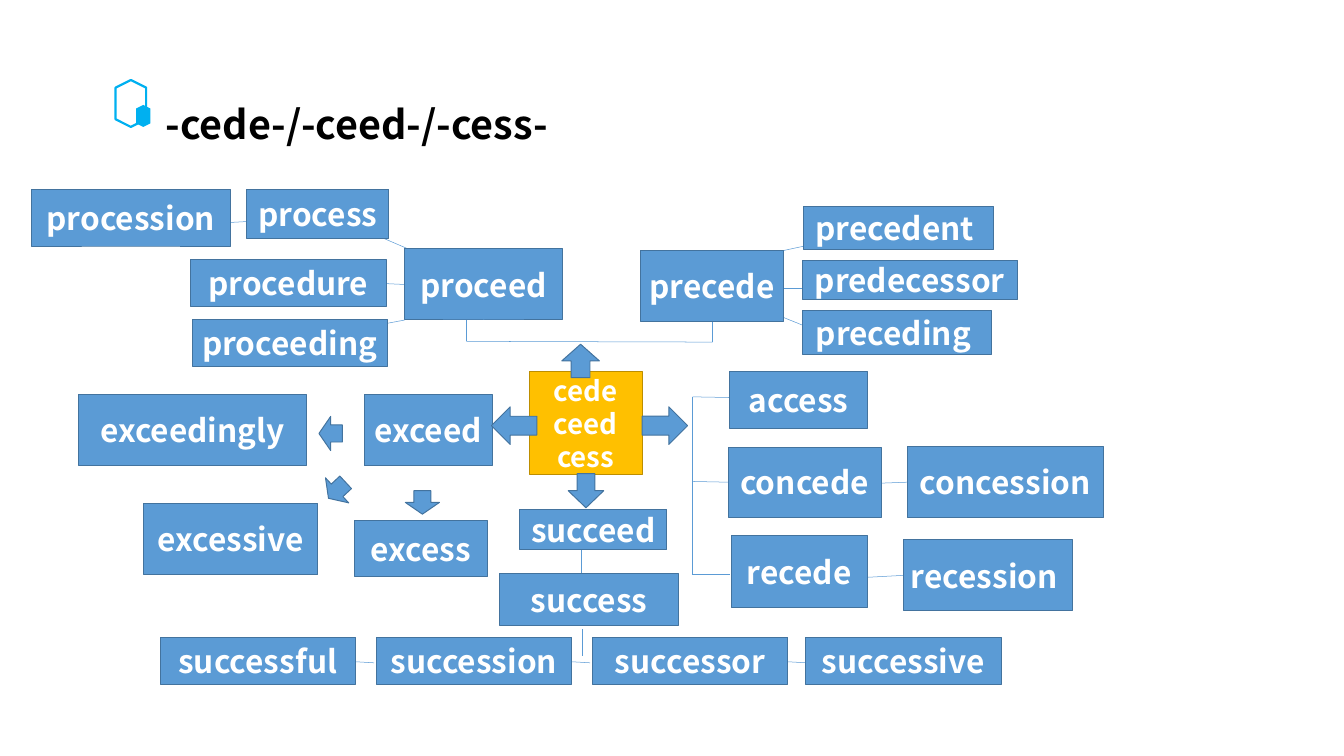
import pptx
import pptx.util
import pptx.dml.color
import pptx.enum.shapes
import pptx.enum.text
import lxml.etree

COLORS = {"blue": "5B9BD5", "blue edge": "43739E", "gold": "FFC000",
          "gold edge": "BD8E00", "cyan": "00B0F0", "white": "FFFFFF", "black": "000000"}
FONT = "Noto Sans CJK SC"
SHAPE = pptx.enum.shapes.MSO_SHAPE
ALIGN = pptx.enum.text.PP_ALIGN
ANCHOR = pptx.enum.text.MSO_ANCHOR
Pt = pptx.util.Pt

# Grid: 189 columns by 106.3 rows of square cells
CELL = pptx.util.Inches(0.1)

deck = pptx.Presentation()
deck.slide_width = round(189 * CELL)
deck.slide_height = round(106.3 * CELL)
slide = deck.slides.add_slide(deck.slide_layouts[5])


def rgb(name):
    return pptx.dml.color.RGBColor.from_string(COLORS[name])


def add_figure(parent, kind, frame, fill, edge, weight=1, turn=0):
    figure = parent.shapes.add_shape(kind, *[round(n * CELL) for n in frame])
    figure.shadow.inherit = False
    figure.rotation = turn
    if fill:
        figure.fill.solid()
        figure.fill.fore_color.rgb = rgb(fill)
    else:
        figure.fill.background()
    if edge:
        figure.line.color.rgb = rgb(edge)
        figure.line.width = Pt(weight)
    else:
        figure.line.fill.background()
    return figure


# Title
title = slide.shapes.title
title.left, title.top, title.width, title.height = [
    round(n * CELL) for n in (22.3, 13.2, 60, 14.5)]
title.text_frame.text = "-cede-/-ceed-/-cess-"
title.text_frame.auto_size = pptx.enum.text.MSO_AUTO_SIZE.NONE
title.text_frame.word_wrap = False
title.text_frame.vertical_anchor = ANCHOR.TOP
heading = title.text_frame.paragraphs[0]
heading.alignment = ALIGN.LEFT
heading.line_spacing = Pt(51)
heading.font.name, heading.font.size, heading.font.bold = FONT, Pt(40), True
heading.font.color.rgb = rgb("black")

# Hexagon mark beside the title
mark = slide.shapes.add_group_shape()
add_figure(mark, SHAPE.HEXAGON, (15.1, 12.4, 6.6, 4.3), None, "cyan", 2.25, 90)
add_figure(mark, SHAPE.HEXAGON, (18.6, 15.3, 3.1, 2), "cyan", None, turn=90)

# Lines behind the words: from x, y to x, y, then the words joined at each end
links = [
    # up: proceed and precede
    (65.6, 48, 100.2, 48.1, None, None),
    (65.6, 44.4, 65.6, 47.9, None, None),
    (100.2, 44.7, 100.2, 48.1, None, None),
    # right: access, concede, recede
    (97.4, 55.8, 97.4, 80.7, None, None),
    (97.4, 55.8, 102.8, 55.9, None, None),
    (97.4, 67.7, 102.4, 67.7, None, "concede"),
    (97.3, 80.7, 102.6, 80.7, None, None),
    (122.1, 68, 127.6, 67.8, None, "concession"),
    (121.5, 81.2, 127.1, 80.9, None, "recession "),
    # proceed family
    (57.4, 35, 49.5, 31.6, None, None),
    (56.9, 40, 48.2, 39.6, "proceed", None),
    (56.9, 45, 49.5, 46.4, None, None),
    (32, 31.3, 37.5, 31, None, None),
    # precede family
    (113.3, 45.9, 108.6, 44, None, None),
    (113.7, 40.5, 108.7, 40.5, None, None),
    (113.1, 34.6, 108.9, 35.5, None, None),
    # down: succeed, success and the bottom row
    (81.7, 77.2, 81.7, 80.9, None, None),
    (81.9, 88.5, 81.9, 92.2, None, None),
] + [(52.6 + 30.4 * i, 93.2, 43.9 + 30.4 * i, 92.7, None, None) for i in range(3)]

connectors = []
for *ends, start_word, end_word in links:
    link = slide.shapes.add_connector(
        pptx.enum.shapes.MSO_CONNECTOR.STRAIGHT, *[round(n * CELL) for n in ends])
    link.line.color.rgb = rgb("blue")
    link.line.width = Pt(0.5)
    properties = link.line._get_or_add_ln().getparent()
    lxml.etree.SubElement(
        properties, "{http://schemas.openxmlformats.org/drawingml/2006/main}effectLst")
    connectors.append((link, start_word, end_word))

# Words: left, top, width, height
words = {
    "success": (70.3, 80.7, 25.1, 7.2),
    "succeed": (73.1, 71.6, 20.7, 5.7),
    "cede\nceed\ncess": (74.4, 52.3, 15.9, 14.4),
    "exceed": (51.2, 55.5, 18, 10),
    "exceedingly": (11.1, 55.5, 32, 10),
    "excessive": (20.2, 70.8, 24.5, 10),
    "excess": (49.9, 73.2, 18.6, 7.9),
    "proceed": (56.9, 35, 22.2, 10),
    "process": (34.7, 26.6, 20, 6.9),
    "procession": (4.4, 26.6, 28, 8),
    "procedure": (26.8, 36.5, 27.5, 6.6),
    "proceeding ": (27, 44.9, 27.5, 6.6),
    "precede": (90.1, 35.2, 20.1, 10),
    "precedent ": (113, 29, 26.7, 6.1),
    "predecessor": (112.8, 36.6, 30.3, 5.5),
    "preceding ": (112.8, 43.7, 26.7, 6.1),
    "access": (102.6, 52.2, 19.4, 8),
    "concede": (102.4, 62.9, 21.5, 9.8),
    "concession": (127.6, 62.8, 27.6, 10),
    "recede": (102.8, 75.3, 19.2, 10.1),
    "recession ": (127.1, 75.9, 23.7, 10),
}
bottom_row = {"successful": 22.5, "succession": 52.9, "successor": 83.3, "successive": 113.3}
for word, left in bottom_row.items():
    words[word] = (left, 89.6, 27.5, 6.6)

boxes = {}
for word, frame in words.items():
    is_root = "\n" in word
    hue = "gold" if is_root else "blue"
    box = add_figure(slide, SHAPE.RECTANGLE, frame, hue, hue + " edge")
    box.text_frame.text = word
    box.text_frame.word_wrap = True
    box.text_frame.vertical_anchor = ANCHOR.MIDDLE
    for line in box.text_frame.paragraphs:
        line.alignment = ALIGN.CENTER
        if is_root:
            line.line_spacing = Pt(33.5)
        line.font.name, line.font.bold = FONT, True
        line.font.size = Pt(28 if is_root else 32)
        line.font.color.rgb = rgb("white")
    boxes[word] = box

# Join lines that meet the middle of a word's left side
for link, start_word, end_word in connectors:
    if start_word:
        link.begin_connect(boxes[start_word], 1)
    if end_word:
        link.end_connect(boxes[end_word], 1)

# Arrows out of the root and out of exceed
arrows = [
    (SHAPE.RIGHT_ARROW, (90.3, 57.2, 6.4, 5.3), 0),
    (SHAPE.RIGHT_ARROW, (79.3, 48.1, 4.7, 5.3), 270),
    (SHAPE.RIGHT_ARROW, (69.1, 57.2, 6.4, 5.3), 180),
    (SHAPE.RIGHT_ARROW, (80, 66.5, 4.8, 5), 90),
    (SHAPE.DOWN_ARROW, (44.1, 59.3, 4.8, 3.3), 90),
    (SHAPE.DOWN_ARROW, (45, 67.3, 4.8, 3.3), 47.1),
    (SHAPE.DOWN_ARROW, (57, 69, 4.8, 3.3), 0),
]
for kind, frame, turn in arrows:
    add_figure(slide, kind, frame, "blue", "blue edge", turn=turn)

deck.save("out.pptx")
